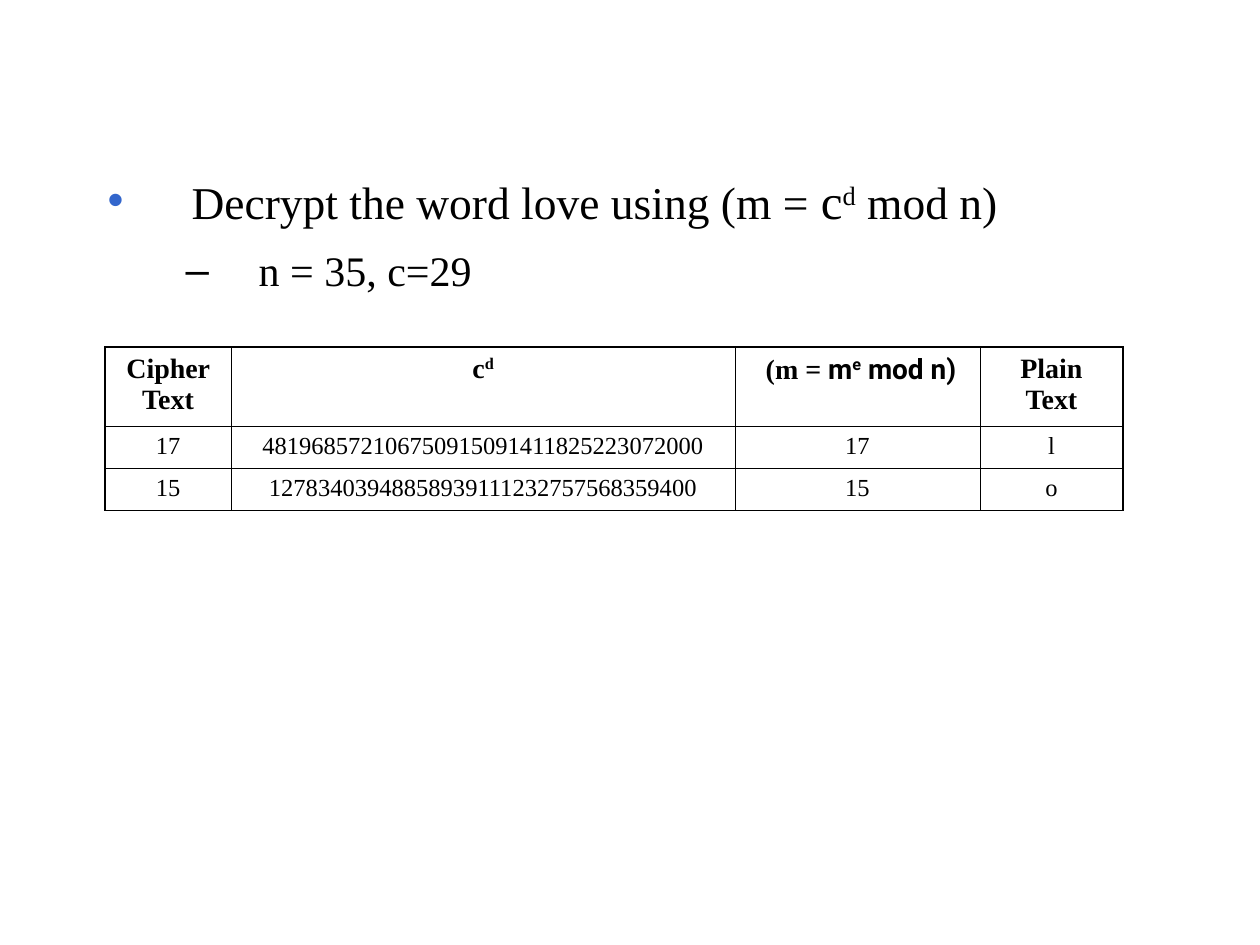
from lxml import etree
from pptx import Presentation
from pptx.dml.color import RGBColor
from pptx.enum.text import MSO_ANCHOR, MSO_AUTO_SIZE, PP_ALIGN
from pptx.oxml.ns import qn
from pptx.util import Pt

TOP, CENTER, NO_FIT = MSO_ANCHOR.TOP, PP_ALIGN.CENTER, MSO_AUTO_SIZE.NONE
PX = 914400 / 126
COLORS = {"text": "000000", "bullet": "3366CC", "border": "000000"}
SERIF, SANS = "Times New Roman", "Roboto"


def px(length):
    """Turn pixels into EMU."""
    return round(length * PX)


def add_runs(paragraph, runs, **defaults):
    """Add (text, changes) runs; the key "raised" makes a superscript."""
    for text, changes in runs:
        run = paragraph.add_run()
        run.text = text
        values = {"name": SERIF, "bold": False, **defaults, **changes}
        if values.pop("raised", False):
            run.font._element.set("baseline", "30000")
        for attribute, value in values.items():
            setattr(run.font, attribute, value)
        run.font.color.rgb = RGBColor.from_string(COLORS["text"])


presentation = Presentation()
presentation.slide_width, presentation.slide_height = px(1260), px(945)
slide = presentation.slides.add_slide(presentation.slide_layouts[1])
title = slide.shapes.title
title._element.getparent().remove(title._element)

# Bulleted task
body = slide.placeholders[1]
body.left, body.top, body.width, body.height = px(95), px(158), px(1197), px(431)
frame = body.text_frame
frame.word_wrap, frame.auto_size, frame.vertical_anchor = True, NO_FIT, TOP
frame.margin_top = px(12)

formula = [
    ("Decrypt the word love using (m = ", {}),
    ("c", {"size": Pt(28)}),
    ("d", {"raised": True}),
    (" mod n)", {}),
]
bullets = [
    # level, margin, indent, character, color, space before, size, runs
    (0, 84, -84, "•", "bullet", 0, 26, formula),
    (1, 151, -73, "–", "text", 9, 24, [("n = 35, c=29", {})]),
]
for number, (level, margin, indent, character, color, space, size, runs) in enumerate(bullets):
    paragraph = frame.add_paragraph() if number else frame.paragraphs[0]
    paragraph.level = level
    properties = paragraph._p.get_or_add_pPr()
    properties.set("marL", str(px(margin)))
    properties.set("indent", str(px(indent)))
    bullet_color = etree.SubElement(properties, qn("a:buClr"))
    etree.SubElement(bullet_color, qn("a:srgbClr"), val=COLORS[color])
    etree.SubElement(properties, qn("a:buChar"), char=character)
    paragraph.space_before = Pt(space)
    add_runs(paragraph, runs, size=Pt(size))

# Decryption table
columns = [126, 504, 245, 143]
heights = [79, 42, 42]
header = [
    [("Cipher Text", {})],
    [("c", {}), ("d", {"raised": True})],
    [
        (" (m = ", {}),
        ("m", {"name": SANS}),
        ("e", {"name": SANS, "raised": True}),
        (" mod n)", {"name": SANS}),
    ],
    [("Plain Text", {})],
]
letters = [
    ["17", "481968572106750915091411825223072000", "17", "l"],
    ["15", "12783403948858939111232757568359400", "15", "o"],
]
rows = [header] + [[[(value, {})] for value in letter] for letter in letters]

table = slide.shapes.add_table(
    len(rows), len(columns), px(105), px(347), px(sum(columns)), px(sum(heights))
).table
table.first_row = table.horz_banding = False
for column, width in zip(table.columns, columns):
    column.width = px(width)
for row, height in zip(table.rows, heights):
    row.height = px(height)

for row_number, row in enumerate(rows):
    is_header = row_number == 0
    for column_number, runs in enumerate(row):
        cell = table.cell(row_number, column_number)
        cell.vertical_anchor = TOP
        paragraph = cell.text_frame.paragraphs[0]
        paragraph.alignment = CENTER
        add_runs(paragraph, runs, size=Pt(16 if is_header else 14), bold=is_header)
        outer = {
            "L": column_number == 0,
            "R": column_number == len(columns) - 1,
            "T": is_header,
            "B": False,
        }
        cell_properties = cell._tc.get_or_add_tcPr()
        for side, is_outer in outer.items():
            line = etree.SubElement(
                cell_properties, qn(f"a:ln{side}"), w=str(Pt(1.08 if is_outer else 0.45))
            )
            line_fill = etree.SubElement(line, qn("a:solidFill"))
            etree.SubElement(line_fill, qn("a:srgbClr"), val=COLORS["border"])
        cell.fill.background()

presentation.save("out.pptx")
